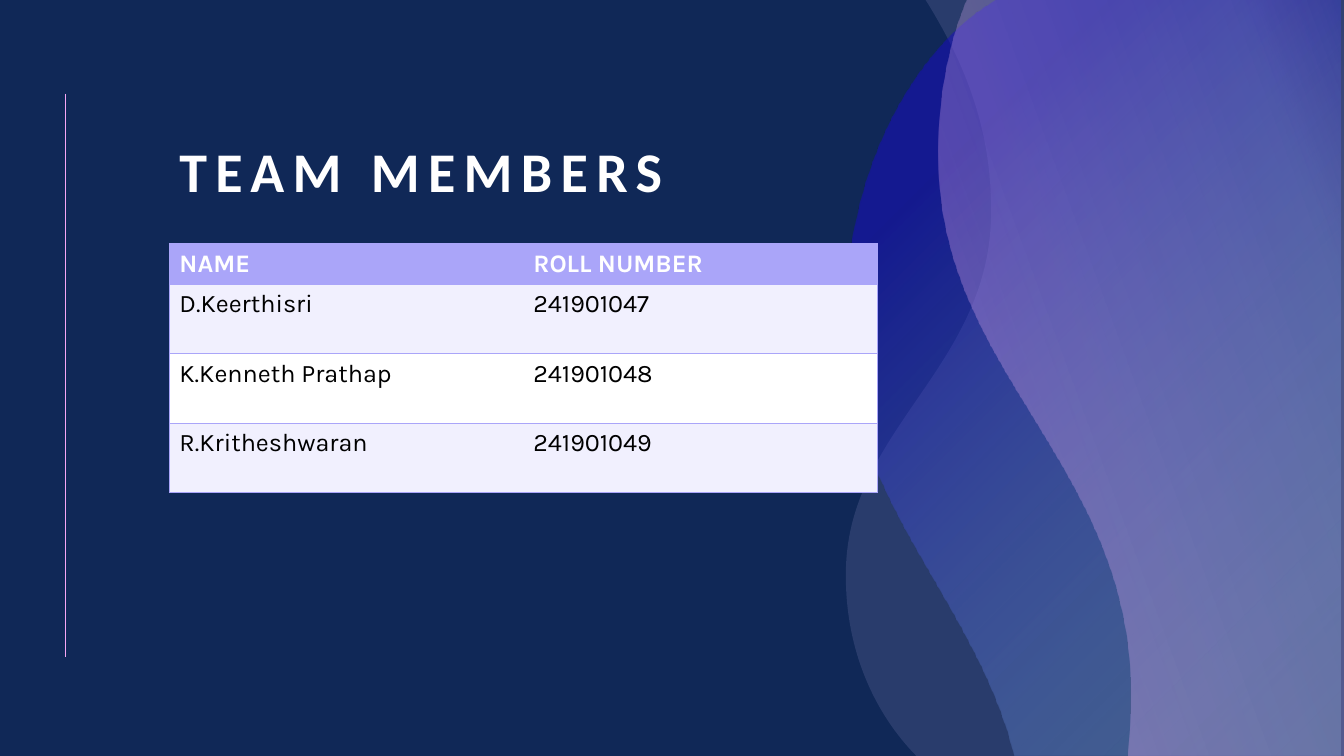
import pptx
import pptx.util
import pptx.oxml
import pptx.oxml.ns
from pptx.dml.color import RGBColor
from pptx.enum.shapes import MSO_CONNECTOR
from pptx.enum.text import MSO_ANCHOR

# Content
TITLE = "TEAM MEMBERS"
ROWS = [
    ("NAME", "ROLL NUMBER"),
    ("D.Keerthisri", "241901047"),
    ("K.Kenneth Prathap", "241901048"),
    ("R.Kritheshwaran", "241901049"),
]

# Colours
NAVY = RGBColor(0x10, 0x28, 0x57)
WHITE = RGBColor(0xFF, 0xFF, 0xFF)
BLACK = RGBColor(0, 0, 0)
LILAC = RGBColor(0xAA, 0xA5, 0xF9)
PALE = RGBColor(0xF1, 0xF0, 0xFE)
PINK = RGBColor(0xF6, 0xA6, 0xF4)
MAUVE = RGBColor(0xC3, 0xB9, 0xF2)
SKY = RGBColor(0x92, 0xCD, 0xF0)
BLUE = RGBColor(0x18, 0x0D, 0xC2)

# Layout in px, 100 to the inch
SCALE = 9144
WIDE, HIGH = 1333, 750
RULE = (65, 93, 65, 652)
HEAD = (168, 91, 971, 117)
GRID = (168, 242)
COL, TOP_ROW, ROW = 351, 40, 69

# Waves: an edge of 2 numbers is a line, of 6 a curve;
# stops are (position, colour, opacity) in percent
RADIAL = '<a:path path="circle"><a:fillToRect l="100000" t="100000"/></a:path>'
SLANT = '<a:lin ang="20400000" scaled="0"/>'
WAVES = [
    {
        "edges": [(918, 0), (1334, 0), (1334, 750), (909, 750), (908, 749),
                  (870, 710, 838, 648, 839, 568),
                  (840, 427, 980, 366, 983, 215),
                  (985, 121, 950, 52, 920, 3)],
        "stops": [(0, MAUVE, 14)], "shade": "",
    },
    {
        "edges": [(988, 0), (1330, 0), (1330, 750), (1006, 750), (1001, 731),
                  (956, 583, 840, 492, 839, 322),
                  (838, 165, 909, 55, 973, 10)],
        "stops": [(4, SKY, 24), (79, BLUE, 52)], "shade": RADIAL,
    },
    {
        "edges": [(959, 0), (1334, 0), (1334, 750), (1118, 750), (1120, 721),
                  (1121, 708, 1121, 694, 1121, 681),
                  (1117, 458, 932, 368, 931, 159),
                  (930, 106, 938, 59, 952, 18)],
        "stops": [(1, PINK, 38), (84, MAUVE, 20), (100, PINK, 3)],
        "shade": SLANT,
    },
]

# Text formats
HEAD_FONT = {"name": "Calibri", "size": pptx.util.Pt(40), "bold": True}
TOP_FONT = {"name": "Karla", "size": pptx.util.Pt(18), "bold": True}
CELL_FONT = {**TOP_FONT, "bold": False}
PLAIN = "{2D5ABB26-0587-4C30-8999-92F81FD0307C}"


def emu(*nums):
    return [pptx.util.Emu(n * SCALE) for n in nums]


def node(tag, body="", attrs=""):
    space = pptx.oxml.ns.nsdecls("a")
    return pptx.oxml.parse_xml(f"<a:{tag} {space} {attrs}>{body}</a:{tag}>")


def tint(color, alpha=100):
    return (f'<a:srgbClr val="{color}"><a:alpha val="{alpha * 1000}"/>'
            "</a:srgbClr>")


def style(font, form, color):
    for key, val in form.items():
        setattr(font, key, val)
    font.color.rgb = color


def bend(props, edges):
    """Join each curve's three line segments into one cubic segment."""
    segs = iter(list(props.iter(pptx.oxml.ns.qn("a:lnTo"))))
    for edge in edges[1:]:
        group = [next(segs) for _ in range(len(edge) // 2)]
        if len(group) == 3:
            curve = node("cubicBezTo")
            group[0].addprevious(curve)
            for seg in group:
                curve.append(seg[0])
                seg.getparent().remove(seg)


def add_wave(slide, wave):
    edges = wave["edges"]
    dots = [edge[i:i + 2] for edge in edges for i in range(0, len(edge), 2)]
    pen = slide.shapes.build_freeform(*dots[0], scale=SCALE)
    pen.add_line_segments(dots[1:], close=True)
    shape = pen.convert_to_shape()
    shape.shadow.inherit = False
    shape.line.fill.background()
    shape.fill.solid()
    props = shape._element.spPr
    bend(props, edges)
    stops = wave["stops"]
    if len(stops) == 1:
        fill = node("solidFill", tint(*stops[0][1:]))
    else:
        marks = "".join(f'<a:gs pos="{pos * 1000}">{tint(color, alpha)}</a:gs>'
                        for pos, color, alpha in stops)
        fill = node("gradFill", f"<a:gsLst>{marks}</a:gsLst>{wave['shade']}",
                    'rotWithShape="1"')
    props.replace(props.find(pptx.oxml.ns.qn("a:solidFill")), fill)


def add_rule(slide):
    rule = slide.shapes.add_connector(MSO_CONNECTOR.STRAIGHT, *emu(*RULE))
    rule.line.color.rgb = PINK
    rule.line.width = pptx.util.Pt(0.5)
    rule._element.spPr.append(node("effectLst"))


def add_head(slide):
    frame = slide.shapes.add_textbox(*emu(*HEAD)).text_frame
    frame.word_wrap = True
    frame.vertical_anchor = MSO_ANCHOR.BOTTOM
    para = frame.paragraphs[0]
    para.line_spacing = 0.9
    run = para.add_run()
    run.text = TITLE
    style(run.font, HEAD_FONT, WHITE)
    run.font._element.set("spc", "600")


def add_grid(slide):
    count, cols = len(ROWS), len(ROWS[0])
    size = (COL * cols, TOP_ROW + ROW * (count - 1))
    table = slide.shapes.add_table(count, cols, *emu(*GRID, *size)).table
    table._tbl.tblPr.find(pptx.oxml.ns.qn("a:tableStyleId")).text = PLAIN
    for col in table.columns:
        col.width = emu(COL)[0]
    for r, texts in enumerate(ROWS):
        table.rows[r].height = emu(ROW if r else TOP_ROW)[0]
        for c, text in enumerate(texts):
            cell = table.cell(r, c)
            cell.text = text
            font = cell.text_frame.paragraphs[0].runs[0].font
            style(font, CELL_FONT if r else TOP_FONT, BLACK if r else WHITE)
            cell.fill.solid()
            cell.fill.fore_color.rgb = (PALE if r % 2 else WHITE) if r else LILAC
            # Outer frame and row lines only
            sides = (["lnL"] if c == 0 else []) + (
                ["lnR"] if c == cols - 1 else []) + ["lnT", "lnB"]
            for i, side in enumerate(sides):
                line = node(side, f"<a:solidFill>{tint(LILAC)}</a:solidFill>",
                            'w="12700"')
                cell._tc.get_or_add_tcPr().insert(i, line)


def main():
    deck = pptx.Presentation()
    deck.slide_width, deck.slide_height = emu(WIDE, HIGH)
    slide = deck.slides.add_slide(deck.slide_layouts[6])
    slide.background.fill.solid()
    slide.background.fill.fore_color.rgb = NAVY
    add_rule(slide)
    for wave in WAVES:
        add_wave(slide, wave)
    add_head(slide)
    add_grid(slide)
    deck.save("out.pptx")


if __name__ == "__main__":
    main()
